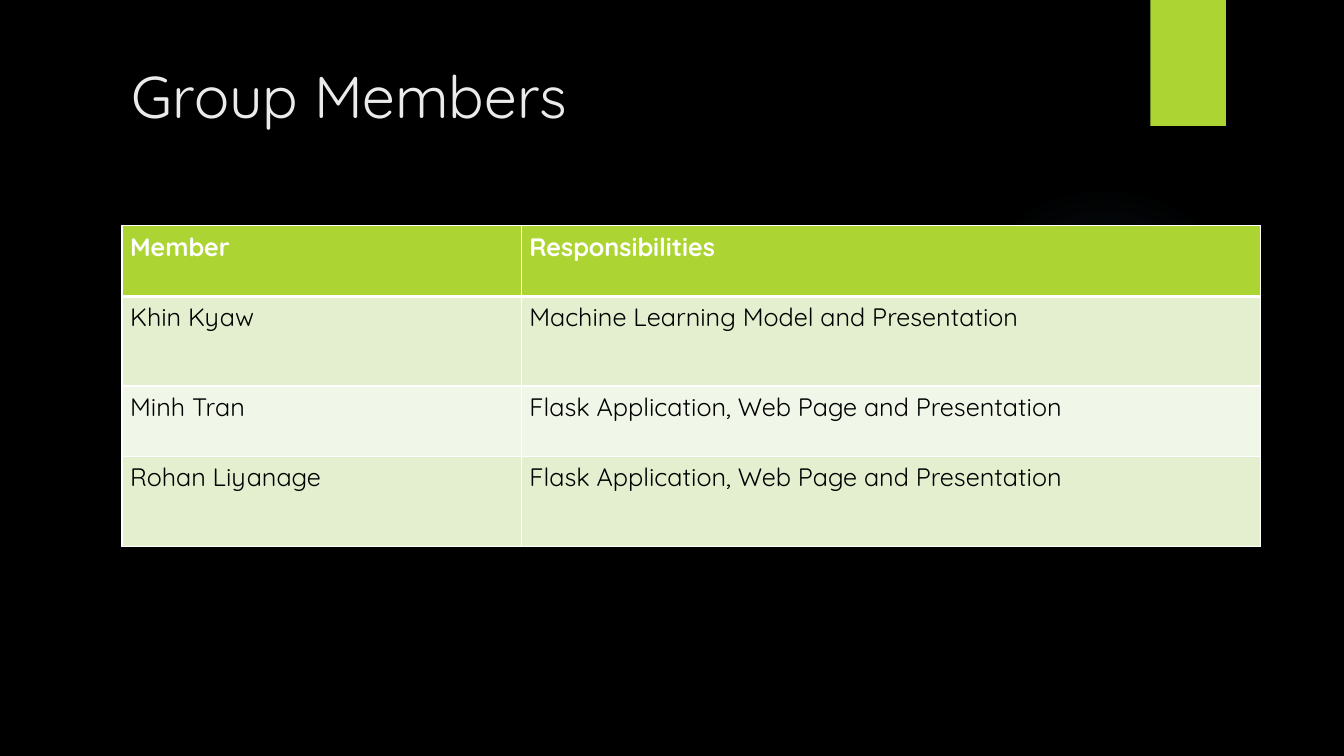
from lxml.etree import SubElement
from pptx import Presentation
from pptx.dml.color import RGBColor
from pptx.enum.shapes import MSO_SHAPE
from pptx.enum.text import MSO_ANCHOR
from pptx.oxml import parse_xml
from pptx.oxml.ns import nsdecls, qn
from pptx.util import Inches, Pt

BLACK = RGBColor(0x00, 0x00, 0x00)
WHITE = RGBColor(0xFF, 0xFF, 0xFF)
PALE = RGBColor(0xEB, 0xEB, 0xEB)
LIME = RGBColor(0xAC, 0xD4, 0x33)
BANDS = RGBColor(0xE3, 0xEF, 0xCE), RGBColor(0xF1, 0xF7, 0xE8)
SKY = RGBColor(0x7A, 0xC4, 0xF0)
FONT = "Quicksand"

GLOW = [(0, 7), (36, 6), (69, 0)]  # position and opacity in percent
COLS = [3.96, 7.33]
ROWS = [0.7, 0.89, 0.7, 0.89]
MEMBERS = [
    ("Member", "Responsibilities"),
    ("Khin Kyaw", "Machine Learning Model and Presentation"),
    ("Minh Tran", "Flask Application, Web Page and Presentation"),
    ("Rohan Liyanage", "Flask Application, Web Page and Presentation"),
]


def write(frame, text, size=18, color=BLACK, bold=False):
    frame.word_wrap = True
    run = frame.paragraphs[0].add_run()
    run.text = text
    font = run.font
    font.name, font.size, font.bold = FONT, Pt(size), bold
    font.color.rgb = color


def add_shape(slide, kind, box):
    shape = slide.shapes.add_shape(kind, *map(Inches, box))
    shape.shadow.inherit = False
    shape.line.fill.background()
    return shape


def add_glow(slide, box):
    """Draw a faint round light that fades towards its edge."""
    glow = add_shape(slide, MSO_SHAPE.OVAL, box)
    stops = "".join(
        f'<a:gs pos="{pos * 1000}"><a:srgbClr val="{SKY}">'
        f'<a:alpha val="{alpha * 1000}"/></a:srgbClr></a:gs>'
        for pos, alpha in GLOW
    )
    fill = parse_xml(
        f'<a:gradFill {nsdecls("a")}><a:gsLst>{stops}</a:gsLst>'
        '<a:path path="circle"><a:fillToRect l="50000" t="50000" '
        'r="50000" b="50000"/></a:path></a:gradFill>'
    )
    glow.element.spPr.find(qn("a:prstGeom")).addnext(fill)


def add_tab(slide, box):
    tab = add_shape(slide, MSO_SHAPE.RECTANGLE, box)
    tab.fill.solid()
    tab.fill.fore_color.rgb = LIME


def add_title(slide, box, text):
    frame = slide.shapes.add_textbox(*map(Inches, box)).text_frame
    frame.vertical_anchor = MSO_ANCHOR.TOP
    write(frame, text, size=42, color=PALE)


def set_edges(cell, **widths):
    """Rule the cell's sides in white; call before filling the cell."""
    props = cell._tc.get_or_add_tcPr()
    for side, width in widths.items():
        line = SubElement(props, qn(f"a:ln{side}"), w=str(Pt(width)))
        fill = SubElement(line, qn("a:solidFill"))
        SubElement(fill, qn("a:srgbClr"), val=str(WHITE))


def add_members(slide, box):
    table = slide.shapes.add_table(
        len(ROWS), len(COLS), *map(Inches, box)).table
    for col, width in zip(table.columns, COLS):
        col.width = Inches(width)
    for r, (row, height, texts) in enumerate(zip(table.rows, ROWS, MEMBERS)):
        row.height = Inches(height)
        head = r == 0
        for cell, text in zip(row.cells, texts):
            cell.margin_left = cell.margin_right = Inches(0.08)
            cell.margin_top = cell.margin_bottom = Inches(0.05)
            set_edges(cell, L=1, R=1, T=3 if r == 1 else 1, B=3 if head else 1)
            cell.fill.solid()
            cell.fill.fore_color.rgb = LIME if head else BANDS[(r - 1) % 2]
            write(cell.text_frame, text, bold=head,
                  color=WHITE if head else BLACK)


def main():
    deck = Presentation()
    deck.slide_width, deck.slide_height = Inches(13.33), Inches(7.5)
    slide = deck.slides.add_slide(deck.slide_layouts[6])
    slide.background.fill.solid()
    slide.background.fill.fore_color.rgb = BLACK
    add_glow(slide, (9.41, 1.83, 3.08, 3.08))
    add_tab(slide, (11.41, 0, 0.75, 1.25))
    add_title(slide, (1.21, 0.54, 10.29, 1.53), "Group Members")
    add_members(slide, (1.21, 2.24, sum(COLS), sum(ROWS)))
    deck.save("out.pptx")


if __name__ == "__main__":
    main()
